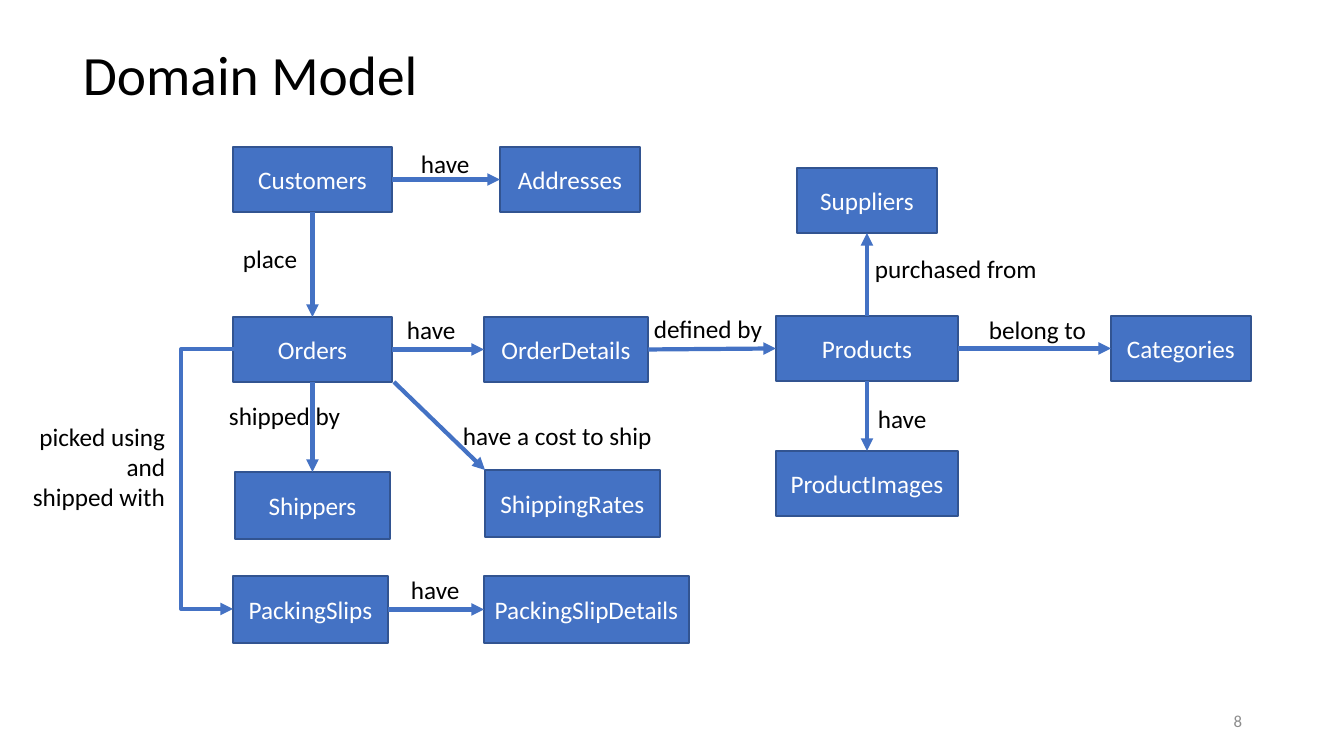
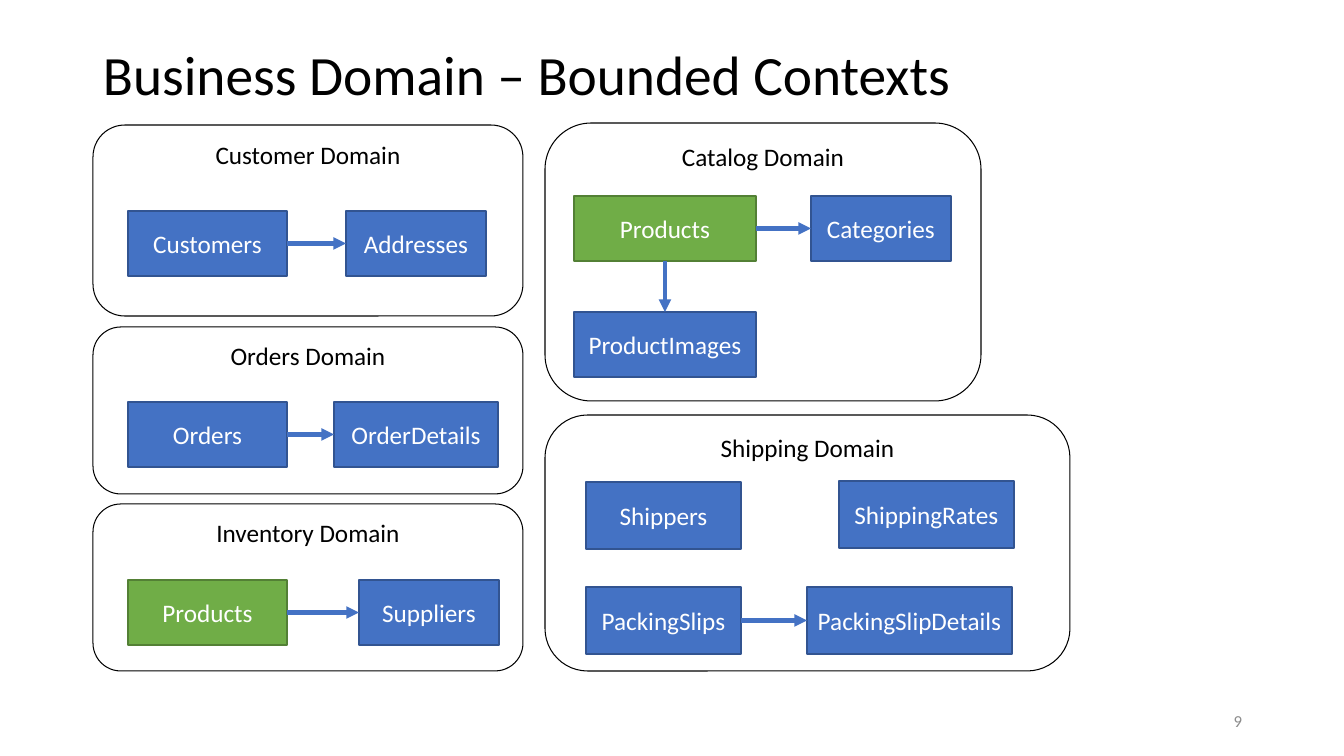
"""Build two slides: a domain model and its bounded contexts."""
from dataclasses import dataclass

from lxml import etree
from pptx import Presentation
from pptx import util as u
from pptx.dml.color import RGBColor
from pptx.enum import shapes, text
from pptx.oxml.ns import qn

SCALE = 914400 / 100.8
TOP, LEFT, BOTTOM, RIGHT = range(4)


@dataclass(frozen=True)
class Theme:
    """Colours, font and point sizes that the slides share."""
    font: str = "Calibri"
    ink: str = "000000"
    paper: str = "FFFFFF"
    muted: str = "8C8C8C"
    blue: tuple = ("4472C4", "325491")
    green: tuple = ("70AD47", "538035")
    title: float = 39.6
    body: float = 18
    footer: float = 12
    arrow: float = 3
    border: float = 1
    panel: float = 0.75


T = Theme()

SIZES = {
    "Customers": (159, 65), "Addresses": (140, 65),
    "Orders": (159, 65), "OrderDetails": (164, 65),
    "Products": (182, 65), "Categories": (140, 65),
    "Suppliers": (140, 65), "ProductImages": (182, 65),
    "Shippers": (155, 67), "ShippingRates": (175, 67),
    "PackingSlips": (155, 67), "PackingSlipDetails": (205, 67),
}

MODEL = {
    "Customers": (233, 147), "Addresses": (500, 147),
    "Orders": (233, 317), "OrderDetails": (484, 317),
    "Products": (776, 316), "Categories": (1111, 316),
    "Suppliers": (797, 168), "ProductImages": (776, 451),
    "Shippers": (235, 472), "ShippingRates": (485, 470),
    "PackingSlips": (233, 576), "PackingSlipDetails": (484, 576),
}
MODEL_LINKS = [
    ("Customers", RIGHT, "Addresses", LEFT),
    ("Customers", BOTTOM, "Orders", TOP),
    ("Orders", RIGHT, "OrderDetails", LEFT),
    ("OrderDetails", RIGHT, "Products", LEFT),
    ("Products", RIGHT, "Categories", LEFT),
    ("Products", TOP, "Suppliers", BOTTOM),
    ("Products", BOTTOM, "ProductImages", TOP),
    ("Orders", BOTTOM, "Shippers", TOP),
    ("PackingSlips", RIGHT, "PackingSlipDetails", LEFT),
]
MODEL_LABELS = [
    ("have", 411, 143, 70), ("place", 233, 238, 76),
    ("have", 397, 309, 70), ("defined by", 644, 308, 130),
    ("belong to", 979, 309, 119), ("purchased from", 865, 248, 183),
    ("have", 868, 398, 70), ("have", 401, 569, 70),
    ("shipped by", 219, 395, 133), ("have a cost to ship", 453, 415, 212),
]

CONTEXTS = [
    ("Customer Domain", (93, 125, 430, 191),
     {"Customers": (35, 86), "Addresses": (253, 86)},
     [("Customers", RIGHT, "Addresses", LEFT)]),
    ("Orders Domain", (93, 327, 430, 167),
     {"Orders": (35, 75), "OrderDetails": (241, 75)},
     [("Orders", RIGHT, "OrderDetails", LEFT)]),
    ("Inventory Domain", (93, 504, 430, 167),
     {"Products": (35, 76, 159), "Suppliers": (266, 76)},
     [("Products", RIGHT, "Suppliers", LEFT)]),
    ("Catalog Domain", (545, 123, 436, 278),
     {"Products": (29, 73), "Categories": (266, 73), "ProductImages": (29, 189)},
     [("Products", RIGHT, "Categories", LEFT),
      ("Products", BOTTOM, "ProductImages", TOP)]),
    ("Shipping Domain", (545, 415, 525, 256),
     {"Shippers": (41, 67), "ShippingRates": (294, 66),
      "PackingSlips": (41, 172), "PackingSlipDetails": (262, 172)},
     [("PackingSlips", RIGHT, "PackingSlipDetails", LEFT)]),
]


def px(*lengths):
    """Turn pixels into a list of EMU lengths."""
    return [u.Emu(round(n * SCALE)) for n in lengths]


def rgb(value):
    """Return the colour object of a hex string."""
    return RGBColor.from_string(value)


def write(sp, lines, size, color, align=None, anchor=None, wrap=True, spacing=None):
    """Fill a shape with one paragraph for each line."""
    tf = sp.text_frame
    tf.word_wrap = wrap
    tf.vertical_anchor = anchor
    tf.text = lines
    for p in tf.paragraphs:
        p.alignment = align
        p.line_spacing = spacing
        p.font.name = T.font
        p.font.size = u.Pt(size)
        p.font.color.rgb = rgb(color)


def add_label(s, words, box, **style):
    """Add unwrapped body text in a box."""
    sp = s.shapes.add_textbox(*px(*box))
    write(sp, words, T.body, T.ink, wrap=False, **style)


def add_frame(s, kind, box, fill, line, width):
    """Add an outlined shape, without fill when fill is None."""
    sp = s.shapes.add_shape(kind, *px(*box))
    sp.shadow.inherit = False
    if fill:
        sp.fill.solid()
        sp.fill.fore_color.rgb = rgb(fill)
    else:
        sp.fill.background()
    sp.line.color.rgb = rgb(line)
    sp.line.width = u.Pt(width)
    return sp


def add_entity(s, name, box, colors):
    """Add a named entity box."""
    sp = add_frame(s, shapes.MSO_SHAPE.FLOWCHART_PROCESS, box, *colors, T.border)
    write(sp, name, T.body, T.paper, text.PP_ALIGN.CENTER, text.MSO_ANCHOR.MIDDLE)
    return sp


def add_arrow(s, points=(0, 0, 0, 0), kind=shapes.MSO_CONNECTOR.STRAIGHT):
    """Add a connector with a triangle at its end."""
    cx = s.shapes.add_connector(kind, *px(*points))
    cx.line.color.rgb = rgb(T.blue[0])
    cx.line.width = u.Pt(T.arrow)
    etree.SubElement(cx.line._get_or_add_ln(), qn("a:tailEnd"), type="triangle")
    etree.SubElement(cx._element.spPr, qn("a:effectLst"))
    return cx


def add_elbow(s, start, end, bend_x):
    """Add a three-part arrow whose middle part stands at bend_x."""
    cx = add_arrow(s, (*start, *end), shapes.MSO_CONNECTOR.ELBOW)
    ratio = round((bend_x - start[0]) / (end[0] - start[0]) * 100000)
    guides = cx._element.spPr.find(qn("a:prstGeom")).get_or_add_avLst()
    etree.SubElement(guides, qn("a:gd"), name="adj1", fmla=f"val {ratio}")


def add_diagram(s, origin, places, links, shared=()):
    """Place entities relative to an origin and link them."""
    nodes = {}
    for name, (x, y, *custom) in places.items():
        width, height = SIZES[name]
        box = (origin[0] + x, origin[1] + y, custom[0] if custom else width, height)
        nodes[name] = add_entity(s, name, box, T.green if name in shared else T.blue)
    for source, out, target, into in links:
        cx = add_arrow(s)
        cx.begin_connect(nodes[source], out)
        cx.end_connect(nodes[target], into)


def add_context(s, name, box, places, links):
    """Add a bounded context with its entities."""
    sp = add_frame(s, shapes.MSO_SHAPE.FLOWCHART_ALTERNATE_PROCESS, box,
                   None, T.ink, T.panel)
    write(sp, name, T.body, T.ink, text.PP_ALIGN.CENTER, text.MSO_ANCHOR.TOP)
    add_diagram(s, box[:2], places, links, shared=("Products",))


def add_page(prs, title, left, number):
    """Add a blank slide with its title and page number."""
    s = prs.slides.add_slide(prs.slide_layouts[6])
    middle = text.MSO_ANCHOR.MIDDLE
    sp = s.shapes.add_textbox(*px(left, 40, 1252 - left, 76))
    write(sp, title, T.title, T.ink, anchor=middle, spacing=0.9)
    sp = s.shapes.add_textbox(*px(950, 701, 302, 40))
    write(sp, str(number), T.footer, T.muted, text.PP_ALIGN.RIGHT, middle)
    return s


def build_model(prs):
    """Build the domain model slide."""
    s = add_page(prs, "Domain Model", 73, 8)
    add_diagram(s, (0, 0), MODEL, MODEL_LINKS)
    add_arrow(s, (394, 382, 485, 470))
    add_elbow(s, (234, 349), (233, 609), 181)
    for words, x, y, width in MODEL_LABELS:
        add_label(s, words, (x, y, width, 40))
    add_label(s, "picked using\nand\nshipped with", (19, 416, 156, 102),
              align=text.PP_ALIGN.RIGHT)


def build_contexts(prs):
    """Build the bounded contexts slide."""
    s = add_page(prs, "Business Domain – Bounded Contexts", 93, 9)
    for context in CONTEXTS:
        add_context(s, *context)


def main():
    """Build and save the presentation."""
    prs = Presentation()
    prs.slide_width, prs.slide_height = px(1344, 756)
    build_model(prs)
    build_contexts(prs)
    prs.save("out.pptx")


main()
